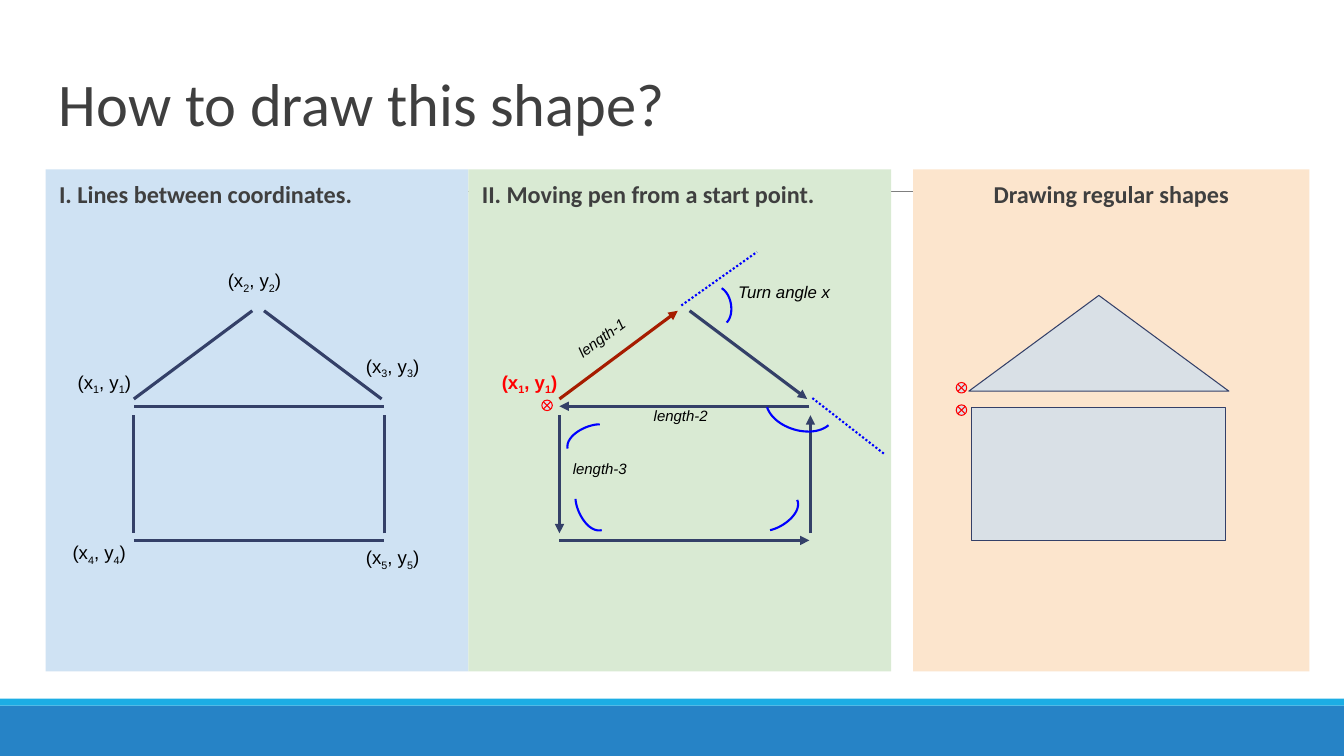
from lxml.etree import SubElement
from pptx import Presentation
from pptx.dml.color import RGBColor as RGB
from pptx.enum.dml import MSO_LINE as Dash
from pptx.enum.shapes import MSO_CONNECTOR as Link, MSO_SHAPE as Kind
from pptx.enum.text import MSO_ANCHOR as Anchor, PP_ALIGN as Align
from pptx.oxml.ns import qn
from pptx.util import Pt


class Theme:
    head, sans = "Calibri", "Arial"
    title, panel, point, turn, side = 43.2, 17.3, 13.3, 12, 10.7
    ink, black, navy = "3F3F3F", "000000", "344068"
    red, rust, pen, rule = "FF0000", "A61C00", "0000FF", "7F7F7F"
    blue, green, peach, grey = "CFE2F3", "D9EAD3", "FCE5CD", "D9E0E6"
    band, strip = "2683C6", "1CADE4"


def write(shape, text, size, color, font=Theme.sans, align=Align.CENTER,
          bold=False, italic=False):
    frame = shape.text_frame
    frame.word_wrap = True
    frame.vertical_anchor = Anchor.TOP
    frame.margin_left = frame.margin_right = Pt(9.6)
    frame.margin_top = frame.margin_bottom = Pt(9.6)
    para = frame.paragraphs[0]
    para.alignment = align
    for i, part in enumerate(text.split("|")):
        run = para.add_run()
        run.text = part
        run.font.name, run.font.size = font, Pt(size)
        run.font.bold, run.font.italic = bold, italic
        run.font.color.rgb = RGB.from_string(color)
        if i % 2:
            run._r.get_or_add_rPr().set("baseline", "-25000")
    return para


def join(x1, y1, x2, y2, color, width, arrow=False, dash=None):
    link = shapes.add_connector(Link.STRAIGHT, Pt(x1), Pt(y1), Pt(x2), Pt(y2))
    link.line.color.rgb = RGB.from_string(color)
    link.line.width = Pt(width)
    if dash:
        link.line.dash_style = dash
    props = link._element.spPr
    if arrow:
        SubElement(props.find(qn("a:ln")), qn("a:tailEnd"), type="triangle")
    SubElement(props, qn("a:effectLst"))


deck = Presentation()
deck.slide_width, deck.slide_height = Pt(960), Pt(540)
slide = deck.slides.add_slide(deck.slide_layouts[5])
shapes = slide.shapes

title = shapes.title
title.left, title.top, title.width, title.height = Pt(32.4), Pt(46.8), Pt(582.5), Pt(60.5)
para = write(title, "How to draw this shape?", Theme.title, Theme.ink, Theme.head, Align.LEFT)
para.line_spacing = 0.85
title.text_frame.vertical_anchor = Anchor.MIDDLE

join(94.3, 136.8, 879.1, 136.8, Theme.rule, 0.75)

for x, y, w, h, fill, text, align in (
    (0, 504, 960, 36, Theme.band, "", None),
    (0, 499, 960, 5, Theme.strip, "", None),
    (652.3, 121, 283, 358.6, Theme.peach, "Drawing regular shapes", Align.CENTER),
    (32.6, 121, 302, 358.6, Theme.blue, "I. Lines between coordinates.", Align.LEFT),
    (334.6, 121, 302, 358.6, Theme.green, "II. Moving pen from a start point.", Align.LEFT),
):
    panel = shapes.add_shape(Kind.RECTANGLE, Pt(x), Pt(y), Pt(w), Pt(h))
    panel.shadow.inherit = False
    panel.fill.solid()
    panel.fill.fore_color.rgb = RGB.from_string(fill)
    panel.line.fill.background()
    if text:
        para = write(panel, text, Theme.panel, Theme.ink, Theme.head, align, bold=True)
        para.line_spacing, para.space_after = 0.9, Pt(16)

house = (
    (0, 285, 84.6, 222),
    (93, 222, 177, 285),
    (178.6, 290.2, 0, 290.2),
    (0, 386, 178.6, 386),
    (0, 296.6, 0, 381),
    (179.3, 381, 179.3, 296.6),
)
for left, arrow in ((95.6, False), (399.6, True)):
    for i, (x1, y1, x2, y2) in enumerate(house):
        color = Theme.rust if arrow and i == 0 else Theme.navy
        join(left + x1, y1, left + x2, y2, color, 2.25, arrow)

for ends in ((486.7, 218.2, 540.7, 180), (580.3, 284.4, 632.2, 324.7)):
    join(*ends, Theme.pen, 1.5, dash=Dash.ROUND_DOT)

for arc in (
    ((591.8, 303.8), (579.6, 313.9), (553, 306), (547.9, 290.9)),
    ((515.5, 205.9), (522.7, 210.2), (524.9, 224.6), (519.1, 230.4)),
    ((428.4, 303.1), (419, 303.1), (403.9, 311), (405.4, 320.4)),
    ((411.1, 356.4), (411.8, 366.5), (420.5, 380.9), (429.8, 378.7)),
    ((550.1, 378.7), (560.2, 376.6), (573.1, 365.8), (569.5, 357.1)),
):
    dots = []
    for n in range(25):
        t = n / 24
        parts = ((1 - t) ** 3, 3 * t * (1 - t) ** 2, 3 * t * t * (1 - t), t ** 3)
        dots.append([Pt(sum(k * p[axis] for k, p in zip(parts, arc))) for axis in (0, 1)])
    build = shapes.build_freeform(*dots[0])
    build.add_line_segments(dots[1:], close=False)
    curve = build.convert_to_shape()
    curve.shadow.inherit = False
    curve.fill.background()
    curve.line.color.rgb = RGB.from_string(Theme.pen)
    curve.line.width = Pt(1.5)

for kind, x, y, w, h, color in (
    (Kind.ISOSCELES_TRIANGLE, 692, 211, 185.8, 68.4, Theme.navy),
    (Kind.RECTANGLE, 694, 291, 181.4, 95, Theme.navy),
    (Kind.FLOWCHART_SUMMING_JUNCTION, 683, 289.2, 7.5, 7.5, Theme.red),
    (Kind.FLOWCHART_SUMMING_JUNCTION, 683, 273.2, 7.5, 7.5, Theme.red),
    (Kind.FLOWCHART_SUMMING_JUNCTION, 387, 285.8, 7.5, 7.5, Theme.red),
):
    solid = shapes.add_shape(kind, Pt(x), Pt(y), Pt(w), Pt(h))
    solid.shadow.inherit = False
    solid.fill.solid()
    solid.fill.fore_color.rgb = RGB.from_string(Theme.grey)
    solid.line.color.rgb = RGB.from_string(color)
    solid.line.width = Pt(0.75)

for n, x, y, color in (
    (2, 143.3, 182.9, Theme.black),
    (3, 241.9, 244.1, Theme.black),
    (1, 36, 255.6, Theme.black),
    (4, 32.4, 377.3, Theme.black),
    (5, 241.9, 380.9, Theme.black),
    (1, 339.8, 255.6, Theme.red),
):
    box = shapes.add_textbox(Pt(x), Pt(y), Pt(77), Pt(35.3))
    write(box, f"(x|{n}|, y|{n}|)", Theme.point, color, bold=color == Theme.red)

for text, x, y, w, size, turn, align in (
    ("length-1", 393.1, 227.5, 77, Theme.side, 323.8, Align.CENTER),
    ("length-2", 447.8, 283.7, 77, Theme.side, 0, Align.CENTER),
    ("length-3", 399.6, 321.8, 77, Theme.side, 0, Align.LEFT),
    ("Turn angle x", 516.2, 193.7, 87.8, Theme.turn, 0, Align.CENTER),
):
    box = shapes.add_textbox(Pt(x), Pt(y), Pt(w), Pt(32.4))
    box.rotation = turn
    write(box, text, size, Theme.black, align=align, italic=True)

deck.save("out.pptx")
